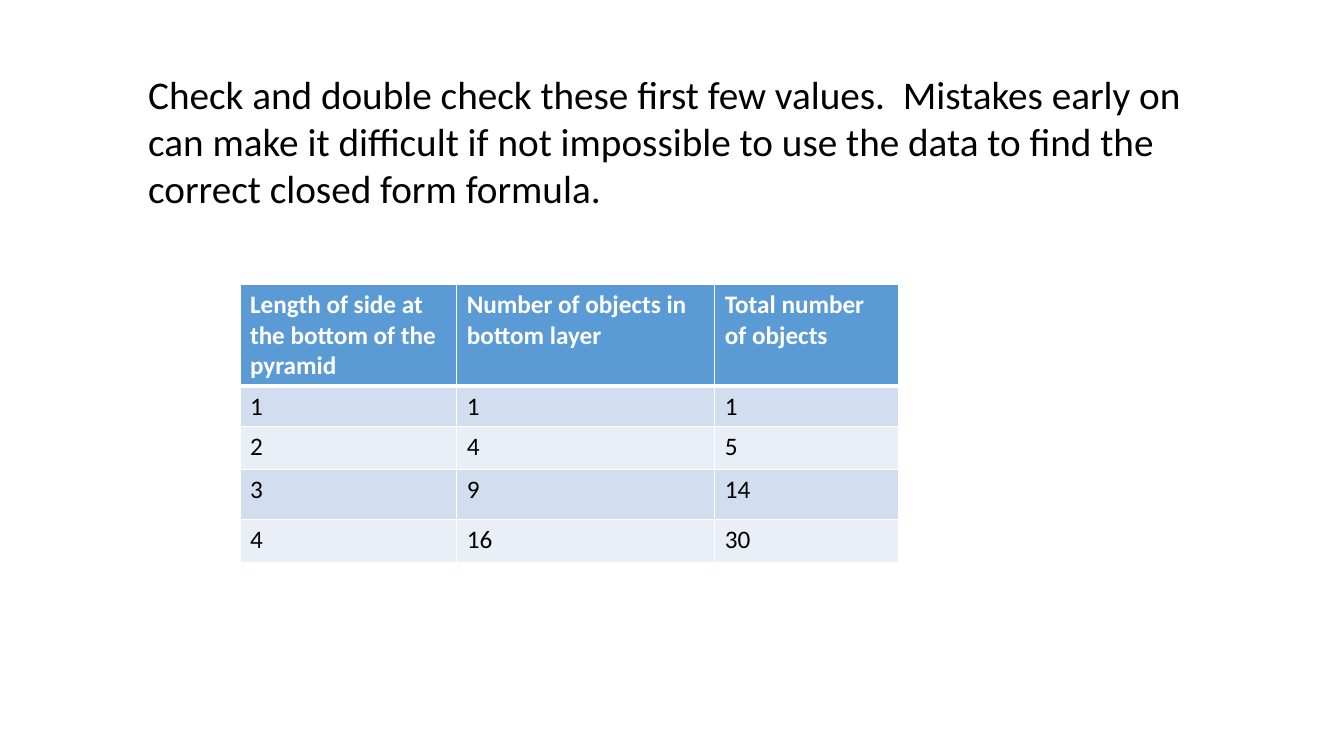
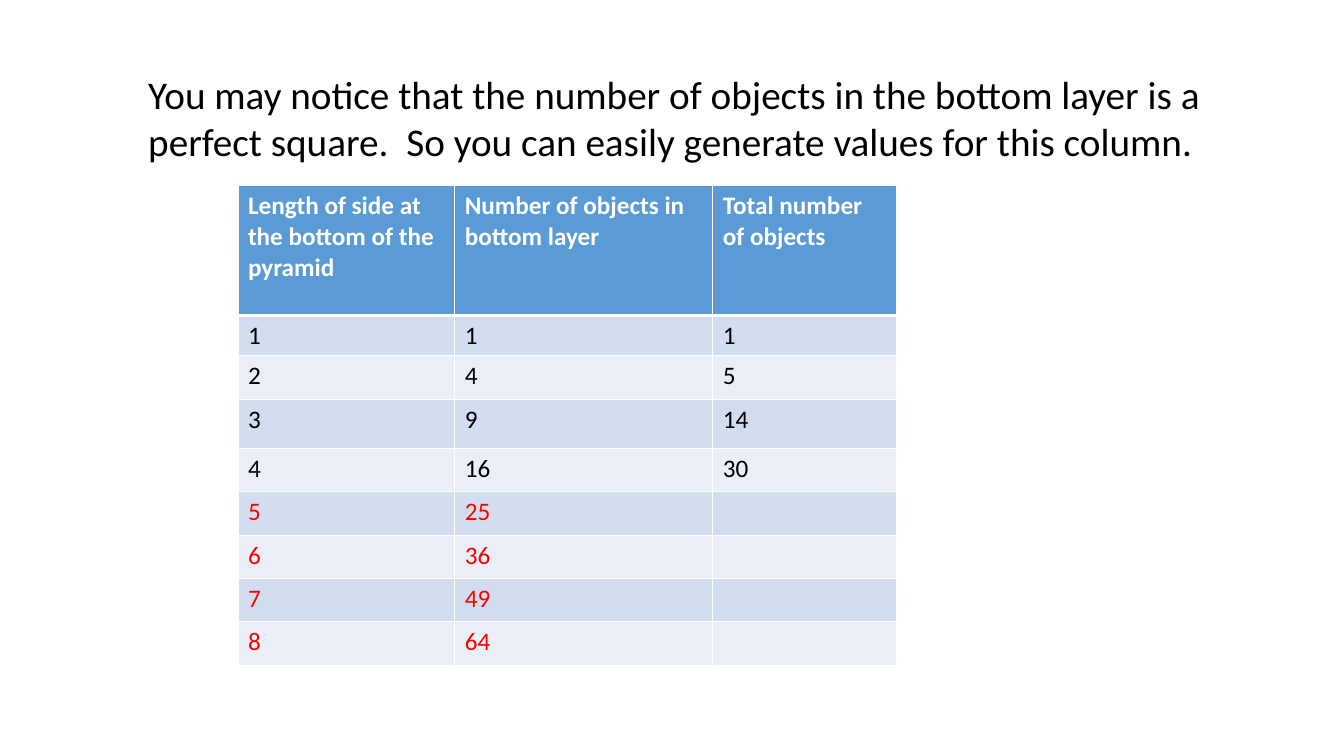
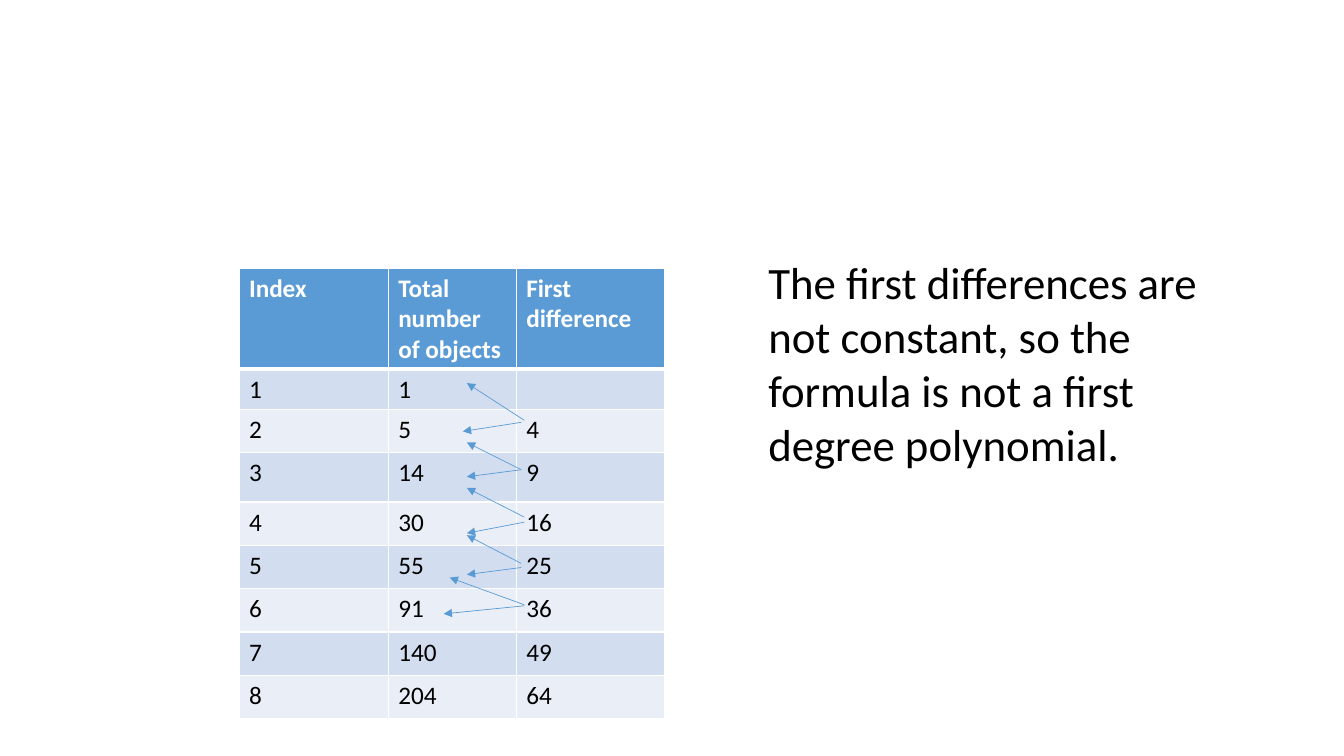
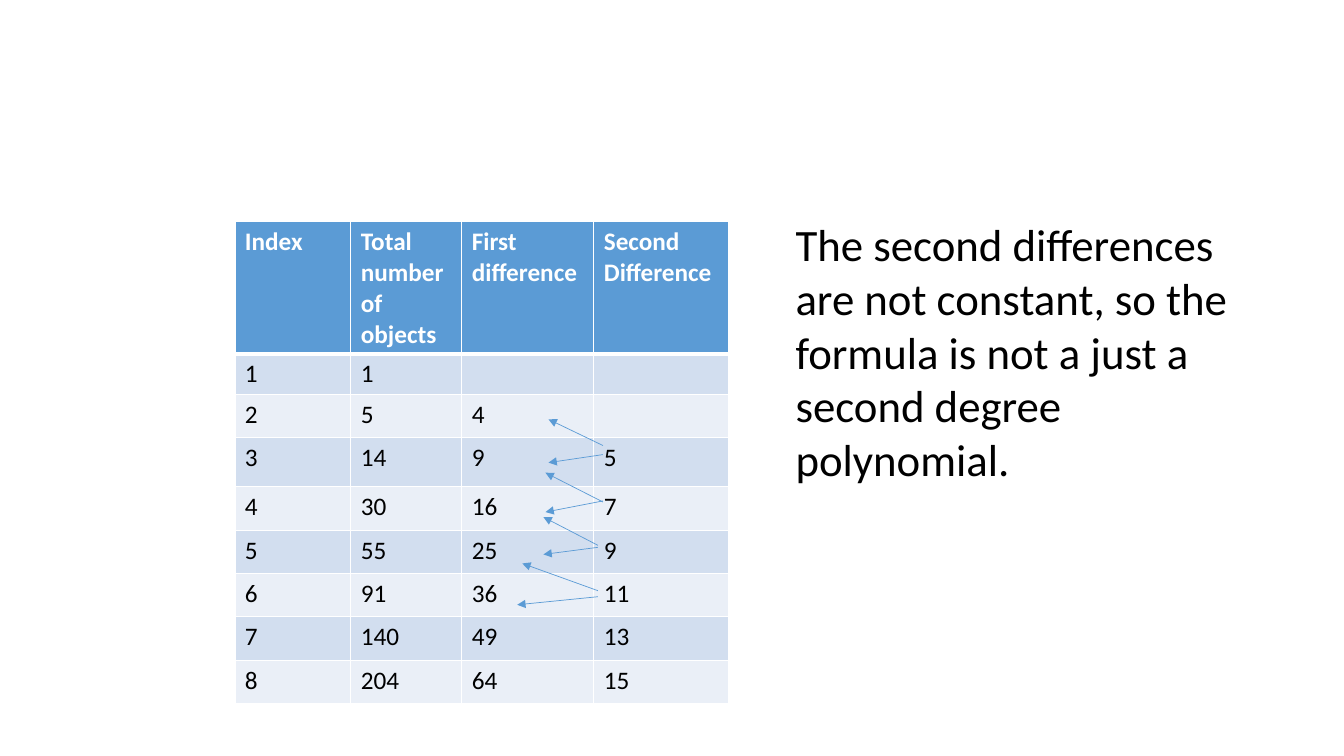
"""Build four slides on finding a formula for pyramid totals from difference tables."""
import pptx
import pptx.util
import pptx.dml.color
import pptx.enum.shapes
import pptx.enum.text
import pptx.oxml
import pptx.oxml.ns
from lxml import etree

Inches, Pt = pptx.util.Inches, pptx.util.Pt
FONT = "Calibri"
COLORS = {"head": "5B9BD5", "odd": "D2DEEF", "even": "EAEFF7",
          "white": "FFFFFF", "text": "000000", "new": "FF0000"}
ROWS = [0.4, 0.43, 0.49] + [0.43] * 5

INDEX = ["1", "2", "3", "4", "5", "6", "7", "8"]
SQUARES = ["1", "4", "9", "16", "25", "36", "49", "64"]
TOTALS = ["1", "5", "14", "30", "55", "91", "140", "204"]
FIRST = [""] + SQUARES[1:]
SECOND = ["", "", "5", "7", "9", "11", "13", "15"]
SIDE = "Length of side at the bottom of the pyramid"
LAYER = "Number of objects in bottom layer"
TOTAL = "Total number of objects"

SLIDES = [
    {"title": "Check and double check these first few values.  Mistakes early on can make it "
              "difficult if not impossible to use the data to find the correct closed form formula.",
     "box": (1.37, 0.65, 10.67, 1.51), "size": 28,
     "spot": (2.38, 2.82), "widths": [2.15, 2.56, 1.82], "top": 1.01,
     "table": {SIDE: INDEX[:4], LAYER: SQUARES[:4], TOTAL: TOTALS[:4]}},
    {"title": "You may notice that the number of objects in the bottom layer is a perfect square.  "
              "So you can easily generate values for this column.",
     "box": (1.37, 0.65, 10.67, 1.04), "size": 28,
     "spot": (2.36, 1.84), "widths": [2.15, 2.56, 1.82], "top": 1.29, "new": 5,
     "table": {SIDE: INDEX, LAYER: SQUARES, TOTAL: TOTALS[:4] + [""] * 4}},
    {"title": "The first differences are not constant, so the formula is not a first degree polynomial.",
     "box": (7.52, 2.48, 4.67, 2.26), "size": 32,
     "spot": (2.37, 2.66), "widths": [1.48, 1.27, 1.47], "top": 1.0,
     "table": {"Index": INDEX, TOTAL: TOTALS, "First difference": FIRST},
     "arrows": [(5.2, 4.17, 4.63, 3.8), (5.17, 4.19, 4.59, 4.28),
                (5.17, 4.66, 4.63, 4.39), (5.17, 4.66, 4.63, 4.73),
                (5.2, 5.13, 4.63, 4.84), (5.2, 5.18, 4.63, 5.29),
                (5.17, 5.59, 4.63, 5.31), (5.17, 5.63, 4.63, 5.7),
                (5.2, 6, 4.46, 5.73), (5.2, 6.01, 4.4, 6.09)]},
    {"title": "The second differences are not constant, so the formula is not a just a "
              "second degree polynomial.",
     "box": (7.79, 2.1, 4.67, 2.79), "size": 32,
     "spot": (2.33, 2.2), "widths": [1.15, 1.1, 1.31, 1.34], "top": 1.31,
     "table": {"Index": INDEX, TOTAL: TOTALS, "First difference": FIRST,
               "Second Difference": SECOND},
     "arrows": [(5.98, 4.42, 5.44, 4.16), (5.98, 4.51, 5.44, 4.59),
                (5.98, 4.98, 5.41, 4.69), (5.98, 4.97, 5.41, 5.08),
                (5.93, 5.41, 5.39, 5.13), (5.93, 5.43, 5.39, 5.5),
                (5.93, 5.86, 5.18, 5.59), (5.93, 5.92, 5.13, 6)]},
]


def color(name):
    return pptx.dml.color.RGBColor.from_string(COLORS[name])


def style(par, size, name, bold=False):
    par.font.name, par.font.size, par.font.bold = FONT, Pt(size), bold
    par.font.color.rgb = color(name)


def add_title(slide, data):
    title = slide.shapes.title
    title.left, title.top, title.width, title.height = map(Inches, data["box"])
    frame = title.text_frame
    frame.text = data["title"]
    frame.word_wrap = True
    frame.auto_size = pptx.enum.text.MSO_AUTO_SIZE.SHAPE_TO_FIT_TEXT
    frame.vertical_anchor = pptx.enum.text.MSO_ANCHOR.TOP
    par = frame.paragraphs[0]
    par.alignment = pptx.enum.text.PP_ALIGN.LEFT
    style(par, data["size"], "text")


def add_edges(cell, above, below):
    props = cell._tc.get_or_add_tcPr()
    sides = {"lnL": 1, "lnR": 1, "lnT": above, "lnB": below}
    for spot, (side, width) in enumerate(sides.items()):
        edge = pptx.oxml.parse_xml(
            f'<a:{side} {pptx.oxml.ns.nsdecls("a")} w="{Pt(width)}"><a:solidFill>'
            f'<a:srgbClr val="{COLORS["white"]}"/></a:solidFill></a:{side}>')
        props.insert(spot, edge)


def add_table(slide, data):
    rows = [list(data["table"]), *zip(*data["table"].values())]
    highs = [data["top"], *ROWS][:len(rows)]
    wides = data["widths"]
    size = sum(wides), sum(highs)
    table = slide.shapes.add_table(len(rows), len(wides),
                                   *map(Inches, data["spot"] + size)).table
    for col, wide in zip(table.columns, wides):
        col.width = Inches(wide)
    for r, (row, high) in enumerate(zip(rows, highs)):
        table.rows[r].height = Inches(high)
        fill = "head" if r == 0 else "odd" if r % 2 else "even"
        ink = "white" if r == 0 else "new" if r >= data.get("new", len(rows)) else "text"
        for c, text in enumerate(row):
            cell = table.cell(r, c)
            cell.text = text
            style(cell.text_frame.paragraphs[0], 18, ink, r == 0)
            cell.fill.solid()
            cell.fill.fore_color.rgb = color(fill)
            add_edges(cell, 3 if r == 1 else 1, 3 if r == 0 else 1)


def add_arrow(slide, ends):
    arrow = slide.shapes.add_connector(pptx.enum.shapes.MSO_CONNECTOR.STRAIGHT,
                                       *map(Inches, ends))
    arrow.line.color.rgb = color("head")
    arrow.line.width = Pt(0.5)
    tag = pptx.oxml.ns.qn
    etree.SubElement(arrow.line._get_or_add_ln(), tag("a:tailEnd"), type="triangle")
    etree.SubElement(arrow._element.spPr, tag("a:effectLst"))


def main():
    deck = pptx.Presentation()
    deck.slide_width, deck.slide_height = Inches(13.33), Inches(7.5)
    for data in SLIDES:
        slide = deck.slides.add_slide(deck.slide_layouts[5])
        add_title(slide, data)
        add_table(slide, data)
        for ends in data.get("arrows", []):
            add_arrow(slide, ends)
    deck.save("out.pptx")


if __name__ == "__main__":
    main()
